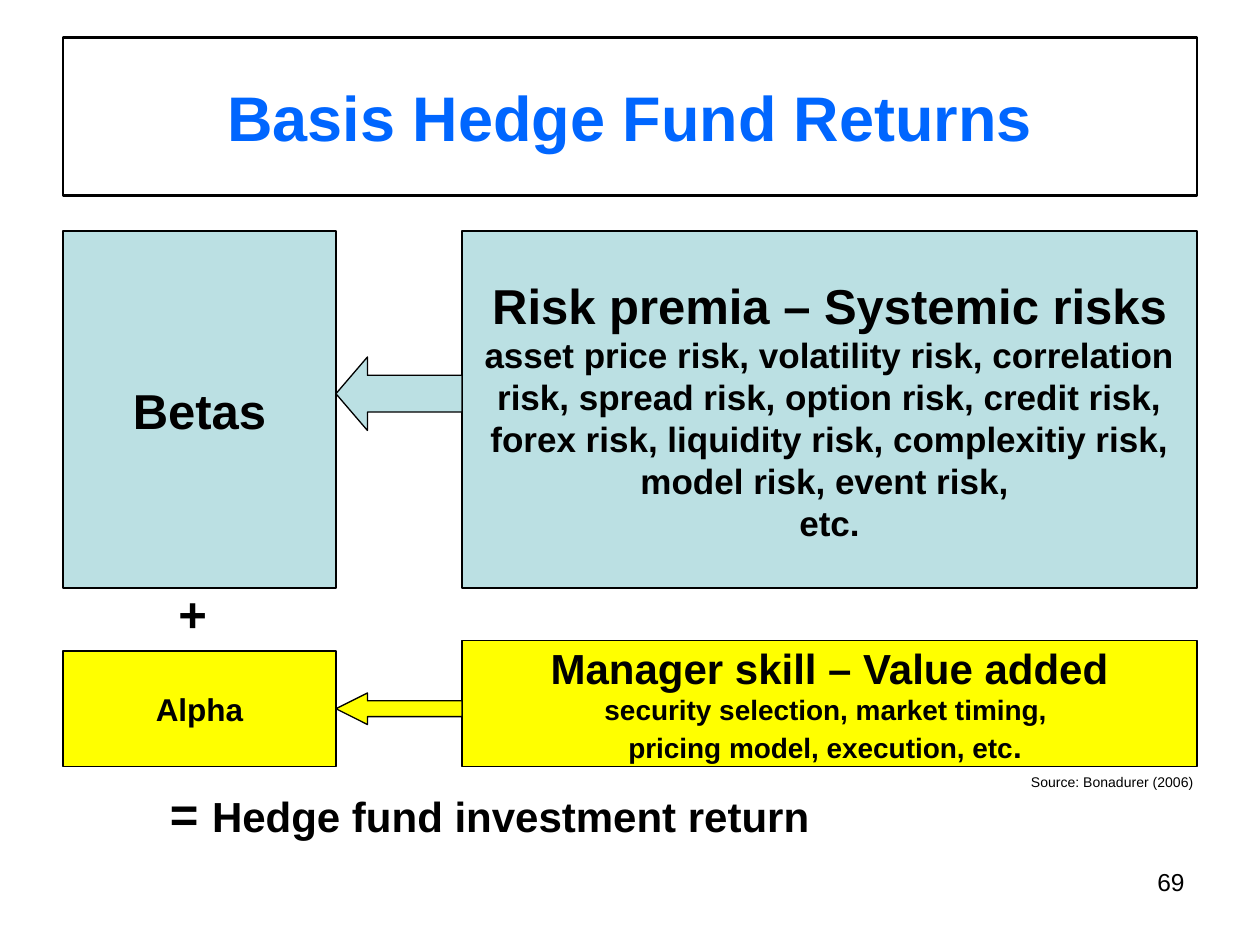
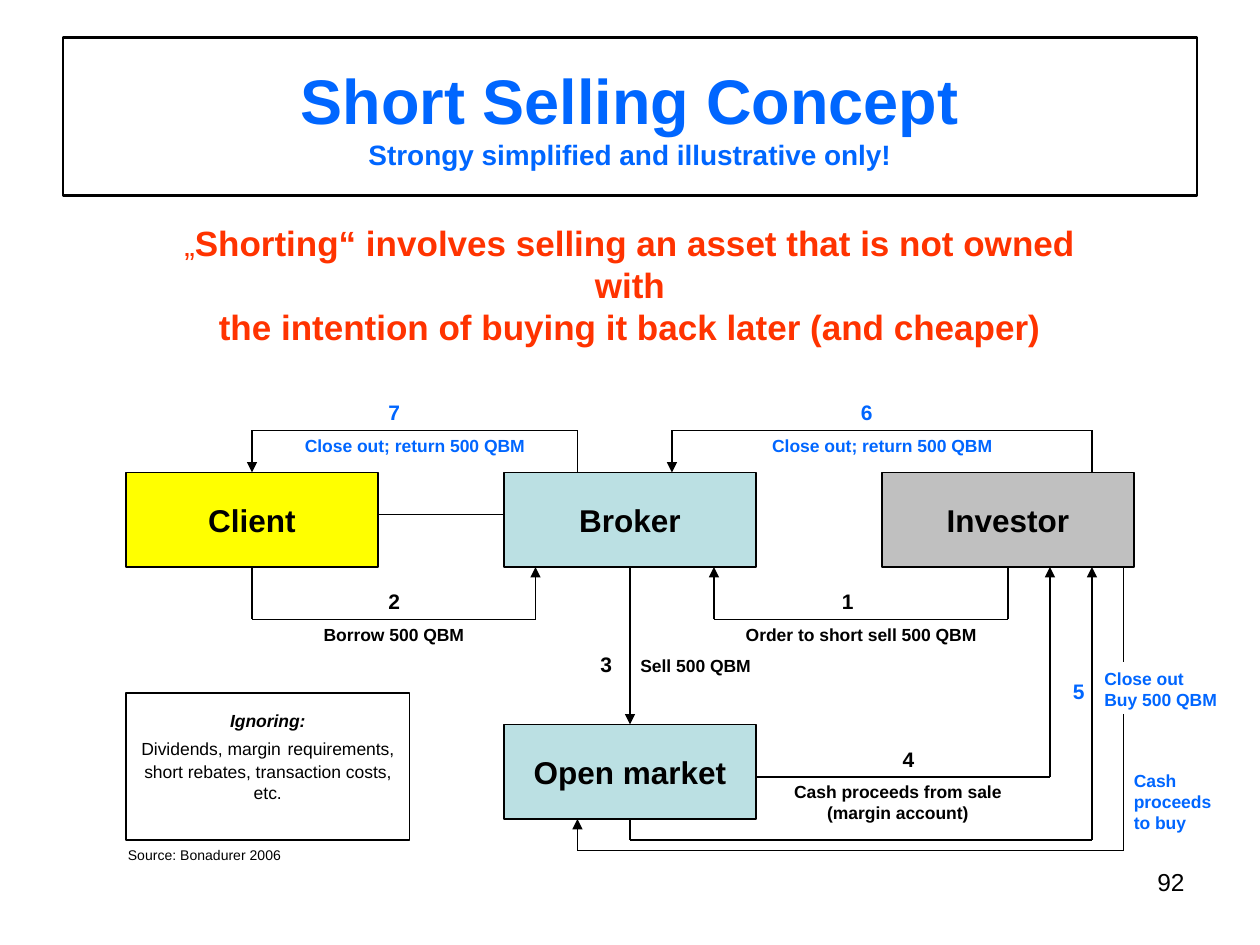
from typing import NamedTuple

from lxml import etree
from pptx import Presentation
from pptx.dml.color import RGBColor
from pptx.enum.shapes import MSO_CONNECTOR as CONN, MSO_SHAPE as SHAPE
from pptx.enum.text import MSO_ANCHOR as ANCHOR, MSO_AUTO_SIZE as AUTO, PP_ALIGN as ALIGN
from pptx.oxml.ns import qn
from pptx.util import Emu, Pt

PX = 7620  # EMU per px, 120 px to the inch
FONT = "Arial"
BLACK = RGBColor(0x00, 0x00, 0x00)
WHITE = RGBColor(0xFF, 0xFF, 0xFF)
BLUE = RGBColor(0x00, 0x66, 0xFF)
RED = RGBColor(0xFF, 0x33, 0x00)
AQUA = RGBColor(0xBB, 0xE0, 0xE3)
YELLOW = RGBColor(0xFF, 0xFF, 0x00)
GREY = RGBColor(0xC0, 0xC0, 0xC0)


class Run(NamedTuple):
    text: str
    size: int
    bold: bool = True
    italic: bool = False


Paras = list[list[Run]]


class Area(NamedTuple):
    x: int
    y: int
    w: int
    h: int


class Box(NamedTuple):
    area: Area
    fill: RGBColor
    paras: Paras


class Label(NamedTuple):
    area: Area
    paras: Paras
    color: RGBColor = BLACK
    align: ALIGN = ALIGN.LEFT


class Route(NamedTuple):
    points: list[tuple[int, int]]
    arrow: bool = True


def px(n: int) -> Emu:
    return Emu(n * PX)


def lines(size: int, *texts: str, bold: bool = True) -> Paras:
    """One paragraph of one run for each text."""
    return [[Run(t, size, bold)] for t in texts]


def write(tf, paras: Paras, color: RGBColor, align: ALIGN) -> None:
    for i, runs in enumerate(paras):
        p = tf.paragraphs[0] if i == 0 else tf.add_paragraph()
        p.alignment = align
        p.font.name, p.font.color.rgb = FONT, color
        same = len({run[1:] for run in runs}) == 1
        for run in runs:
            r = p.add_run()
            r.text = run.text
            font = p.font if same else r.font
            font.size, font.bold, font.italic = Pt(run.size), run.bold, run.italic


def add_label(slide, label: Label) -> None:
    tf = slide.shapes.add_textbox(*map(px, label.area)).text_frame
    tf.word_wrap = True
    write(tf, label.paras, label.color, label.align)


def add_filled(slide, kind: SHAPE, area: Area, fill: RGBColor):
    sp = slide.shapes.add_shape(kind, *map(px, area))
    sp.shadow.inherit = False
    sp.fill.solid()
    sp.fill.fore_color.rgb = fill
    sp.line.color.rgb, sp.line.width = BLACK, Pt(0.75)
    return sp


def add_box(slide, box: Box):
    sp = add_filled(slide, SHAPE.RECTANGLE, box.area, box.fill)
    tf = sp.text_frame
    tf.word_wrap, tf.vertical_anchor = False, ANCHOR.MIDDLE
    write(tf, box.paras, BLACK, ALIGN.CENTER)
    return sp


def add_left_arrow(slide, area: Area, fill: RGBColor) -> None:
    sp = add_filled(slide, SHAPE.LEFT_ARROW, area, fill)
    sp.adjustments[0], sp.adjustments[1] = 0.5, 30 / area.h


def side_middles(area: Area) -> list[tuple[int, int]]:
    """Middles of the top, left, bottom and right sides."""
    x, y, w, h = area
    return [(x + w // 2, y), (x, y + h // 2), (x + w // 2, y + h), (x + w, y + h // 2)]


def add_route(slide, route: Route, joints: dict) -> None:
    legs = list(zip(route.points, route.points[1:]))
    for i, (start, end) in enumerate(legs):
        c = slide.shapes.add_connector(CONN.STRAIGHT, *map(px, start + end))
        c.line.color.rgb, c.line.width = BLACK, Pt(0.75)
        if start in joints:
            c.begin_connect(*joints[start])
        if end in joints:
            c.end_connect(*joints[end])
        sp_pr = c._element.spPr
        if route.arrow and i == len(legs) - 1:
            etree.SubElement(sp_pr.find(qn("a:ln")), qn("a:tailEnd"), type="triangle")
        etree.SubElement(sp_pr, qn("a:effectLst"))


def new_slide(prs, title: str, number: str, subtitle: str = ""):
    """Slide with the framed title and the page number."""
    slide = prs.slides.add_slide(prs.slide_layouts[5])
    sp = slide.shapes.title
    sp.left, sp.top, sp.width, sp.height = map(px, Area(60, 36, 1080, 150))
    sp.line.color.rgb, sp.line.width = BLACK, Pt(1.5)
    tf = sp.text_frame
    tf.auto_size, tf.vertical_anchor = AUTO.NONE, ANCHOR.MIDDLE
    write(tf, [[Run(title, 36)]], BLUE, ALIGN.CENTER)
    if subtitle:
        p = tf.paragraphs[0]
        p.add_line_break()
        r = p.add_run()
        r.text, r.font.size = subtitle, Pt(16)
    add_label(slide, Label(Area(860, 820, 280, 62), lines(14, number, bold=False),
                           align=ALIGN.RIGHT))
    return slide


def build_returns(prs) -> None:
    slide = new_slide(prs, "Basis Hedge Fund Returns", "69")

    # Return components on the left, their sources on the right
    premia = lines(28, "Risk premia – Systemic risks") + lines(
        20, "asset price risk, volatility risk, correlation",
        "risk, spread risk, option risk, credit risk,",
        "forex risk, liquidity risk, complexitiy risk,",
        "model risk, event risk, ", "etc.")
    skill = lines(24, "Manager skill – Value added") + lines(
        16, "security selection, market timing, ")
    skill.append([Run("pricing model, execution, etc", 16), Run(". ", 18)])
    for box in (
        Box(Area(60, 220, 260, 340), AQUA, lines(28, "Betas")),
        Box(Area(440, 220, 700, 340), AQUA, premia),
        Box(Area(60, 620, 260, 110), YELLOW, lines(18, "Alpha")),
        Box(Area(440, 610, 700, 120), YELLOW, skill),
    ):
        add_box(slide, box)
    add_left_arrow(slide, Area(320, 340, 120, 70), AQUA)
    add_left_arrow(slide, Area(320, 660, 120, 30), YELLOW)

    # Sum and source
    for label in (
        Label(Area(158, 550, 52, 68), lines(28, "+")),
        Label(Area(150, 740, 730, 68),
              [[Run("= ", 28), Run("Hedge fund investment return", 24)]]),
        Label(Area(970, 731, 210, 29), lines(8, "Source: Bonadurer (2006)", bold=False)),
    ):
        add_label(slide, label)


def build_short_selling(prs) -> None:
    slide = new_slide(prs, "Short Selling Concept", "92",
                      "Strongy simplified and illustrative only!")
    definition = [[Run("„", 18, False),
                   Run("Shorting“ involves selling an asset that is not owned", 20)]]
    definition += lines(20, "with", "the intention of buying it back later (and cheaper)")
    add_label(slide, Label(Area(60, 205, 1080, 132), definition, RED, ALIGN.CENTER))

    # Parties
    joints = {}
    for name, x, y, fill in (
        ("Client", 120, 450, YELLOW),
        ("Broker", 480, 450, AQUA),
        ("Investor", 840, 450, GREY),
        ("Open market", 480, 690, AQUA),
    ):
        area = Area(x, y, 240, 90)
        sp = add_box(slide, Box(area, fill, lines(18, name)))
        joints.update({pt: (sp, side) for side, pt in enumerate(side_middles(area))})

    # Flows between the parties
    for route in (
        Route([(360, 490), (480, 490)], arrow=False),
        Route([(960, 540), (960, 590), (680, 590), (680, 540)]),
        Route([(240, 540), (240, 590), (510, 590), (510, 540)]),
        Route([(600, 540), (600, 690)]),
        Route([(720, 740), (1000, 740), (1000, 540)]),
        Route([(600, 780), (600, 800), (1040, 800), (1040, 540)]),
        Route([(1040, 450), (1040, 410), (640, 410), (640, 450)]),
        Route([(550, 450), (550, 410), (240, 410), (240, 450)]),
        Route([(1070, 540), (1070, 630)], arrow=False),
        Route([(1070, 680), (1070, 810), (550, 810), (550, 780)]),
    ):
        add_route(slide, route, joints)

    # Step numbers
    for number, x, y, color in (
        ("1", 790, 555, BLACK), ("2", 358, 555, BLACK), ("3", 560, 615, BLACK),
        ("4", 848, 705, BLACK), ("5", 1010, 640, BLUE), ("6", 808, 375, BLUE),
        ("7", 358, 375, BLUE),
    ):
        add_label(slide, Label(Area(x, y, 50, 36), lines(12, number), color))

    # Step descriptions
    close_out = lines(10, "Close out; return 500 QBM")
    for label in (
        Label(Area(680, 588, 280, 32), lines(10, "Order to short sell 500 QBM"),
              align=ALIGN.CENTER),
        Label(Area(240, 588, 270, 32), lines(10, "Borrow 500 QBM"), align=ALIGN.CENTER),
        Label(Area(598, 618, 140, 32), lines(10, "Sell 500 QBM")),
        Label(Area(720, 738, 270, 53),
              lines(10, "Cash proceeds from sale", "(margin account)"), align=ALIGN.CENTER),
        Label(Area(1040, 630, 140, 53), lines(10, "Close out", "Buy 500 QBM"), BLUE),
        Label(Area(640, 408, 400, 32), close_out, BLUE, ALIGN.CENTER),
        Label(Area(240, 408, 310, 32), close_out, BLUE, ALIGN.CENTER),
        Label(Area(1068, 727, 110, 72), lines(10, "Cash", "proceeds", "to buy"), BLUE),
        Label(Area(110, 800, 210, 29), lines(8, "Source: Bonadurer 2006", bold=False)),
    ):
        add_label(slide, label)

    # Simplifications
    ignored = [[Run("Ignoring:", 10, True, True)],
               [Run("Dividends, margin", 10, False), Run(" ", 14, False),
                Run("requirements,", 10, False)]]
    ignored += lines(10, "short rebates, transaction costs,", "etc.", bold=False)
    sp = add_box(slide, Box(Area(120, 660, 270, 140), WHITE, ignored))
    sp.text_frame.margin_bottom = px(25)


def main() -> None:
    prs = Presentation()
    prs.slide_width, prs.slide_height = px(1200), px(900)
    build_returns(prs)
    build_short_selling(prs)
    prs.save("out.pptx")


if __name__ == "__main__":
    main()
